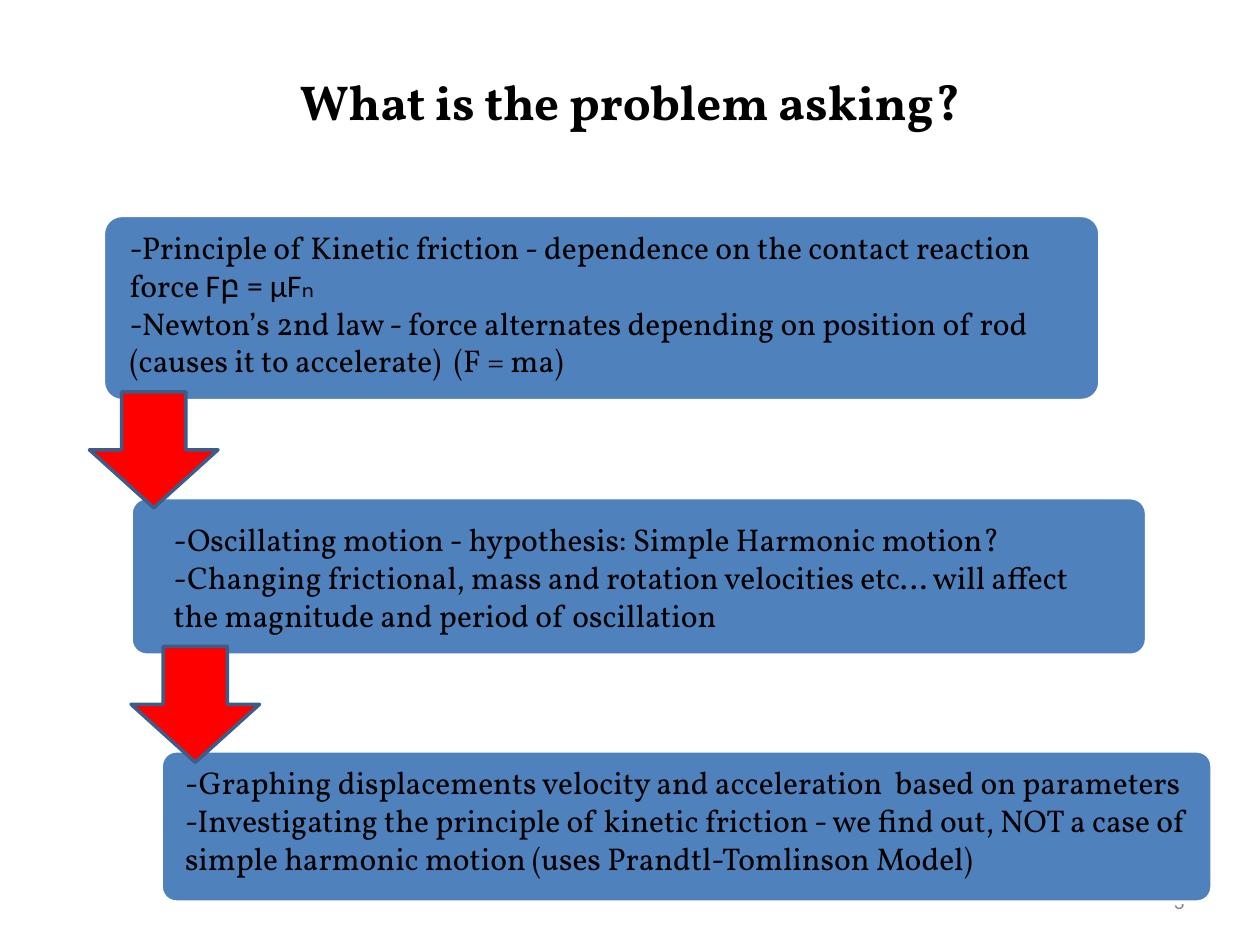
"""Build a slide with three stepped text panels linked by red arrows."""
from pptx import Presentation
from pptx import util as u
from pptx.dml.color import RGBColor
from pptx.enum import shapes, text

PX = 9144
BLACK = RGBColor(0x00, 0x00, 0x00)
GREY = RGBColor(0x88, 0x88, 0x88)
WHITE = RGBColor(0xFF, 0xFF, 0xFF)
BLUE = RGBColor(0x4F, 0x81, 0xBD)
NAVY = RGBColor(0x39, 0x5E, 0x89)
RED = RGBColor(0xFF, 0x00, 0x00)
SERIF, SANS = "Vollkorn", "Calibri"


def add_shape(kind, box, fill, line):
    sp = s.shapes.add_shape(kind, *(v * PX for v in box))
    sp.shadow.inherit = False
    sp.fill.solid()
    sp.fill.fore_color.rgb = fill
    sp.line.color.rgb = line
    sp.line.width = u.Pt(2)
    return sp


def add_text(box, paragraphs, inset, size, color=BLACK, bold=False, **layout):
    tf = s.shapes.add_textbox(*(v * PX for v in box)).text_frame
    frame = {"word_wrap": True, "margin_left": 10 * PX, "margin_right": 10 * PX,
             "margin_top": inset * PX, "margin_bottom": inset * PX,
             "vertical_anchor": layout.get("anchor", text.MSO_ANCHOR.TOP),
             "auto_size": layout.get("fit", text.MSO_AUTO_SIZE.NONE)}
    for name, value in frame.items():
        setattr(tf, name, value)
    for i, runs in enumerate(paragraphs):
        p = tf.add_paragraph() if i else tf.paragraphs[0]
        p.alignment = layout.get("align", text.PP_ALIGN.LEFT)
        for words, font in runs:
            r = p.add_run()
            r.text = words
            for name, value in {"name": font, "size": u.Pt(size), "bold": bold}.items():
                setattr(r.font, name, value)
            r.font.color.rgb = color


prs = Presentation()
prs.slide_width, prs.slide_height = 1000 * PX, 750 * PX
s = prs.slides.add_slide(prs.slide_layouts[6])

add_text((122, 52, 756, 57), [[("What is the problem asking?", SERIF)]], 5, 28,
         bold=True, align=text.PP_ALIGN.CENTER,
         fit=text.MSO_AUTO_SIZE.SHAPE_TO_FIT_TEXT)
add_text((717, 695, 233, 40), [[("3", SANS)]], 5, 12, GREY,
         align=text.PP_ALIGN.RIGHT, anchor=text.MSO_ANCHOR.MIDDLE)

for box in [(82, 171, 791, 147), (104, 395, 806, 125), (128, 596, 834, 120)]:
    sp = add_shape(shapes.MSO_SHAPE.ROUNDED_RECTANGLE, box, BLUE, WHITE)
    sp.adjustments[0] = 0.1

for x, y in [(76, 306), (109, 508)]:
    sp = add_shape(shapes.MSO_SHAPE.RIGHT_ARROW, (x, y, 92, 102), RED, NAVY)
    sp.rotation = 90

STEPS = [
    ((93, 171, 775, 74), [
        [("-Principle of Kinetic friction - dependence on the contact reaction force ", SERIF),
         ("Fբ = μFₙ", SANS)],
        [("-Newton’s 2nd law - force alternates depending on position of rod "
          "(causes it to accelerate)  (F = ma)", SERIF)]]),
    ((128, 403, 743, 70), [
        [("-Oscillating motion - hypothesis: Simple Harmonic motion?", SERIF)],
        [("-Changing frictional, mass and rotation velocities etc… will affect "
          "the magnitude and period of oscillation", SERIF)]]),
    ((137, 596, 825, 70), [
        [("-Graphing displacements velocity and acceleration  based on parameters", SERIF)],
        [("-Investigating the principle of kinetic friction - we find out, NOT a case of "
          "simple harmonic motion (uses Prandtl-Tomlinson Model)", SERIF)]]),
]
for box, paragraphs in STEPS:
    add_text(box, paragraphs, 10, 18)

prs.save("out.pptx")
